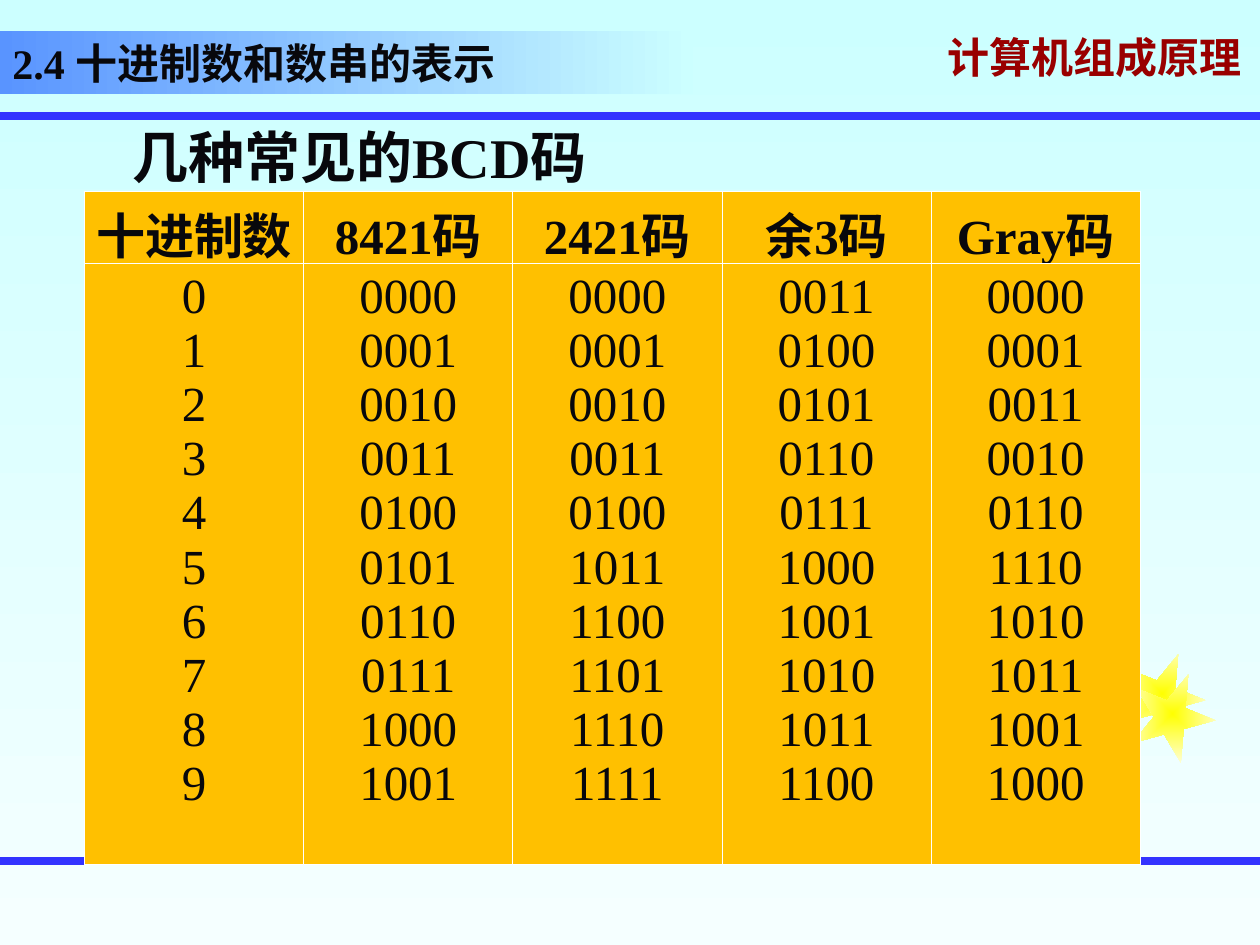
"""Build a slide that tabulates common BCD codes."""
from lxml import etree
from pptx import Presentation
from pptx import util as u
from pptx.dml.color import RGBColor
from pptx.enum import shapes, text
from pptx.oxml import parse_xml
from pptx.oxml.ns import nsdecls, qn

COURSE = "计算机组成原理"
TITLE = "2.4 十进制数和数串的表示"
HEADING = "几种常见的BCD码"
CODES = {
    "十进制数": "0 1 2 3 4 5 6 7 8 9",
    "8421码": "0000 0001 0010 0011 0100 0101 0110 0111 1000 1001",
    "2421码": "0000 0001 0010 0011 0100 1011 1100 1101 1110 1111",
    "余3码": "0011 0100 0101 0110 0111 1000 1001 1010 1011 1100",
    "Gray码": "0000 0001 0011 0010 0110 1110 1010 1011 1001 1000",
}
COLUMN_WIDTHS = [1.74] + [1.66] * 4
ROW_HEIGHTS = [0.47, 4.67]
RULE_TOPS = [0.92, 6.83]
STARS = [(8.89, 5.17), (8.97, 5.33)]
STAR_SIZE, STAR_ROTATION = 0.67, 22

COLORS = {
    "sky": "CCFFFF", "pale": "F5FFFF", "banner": "5994FF", "rule": "3333FF",
    "star": "FFFF00", "star_edge": "FFFFE9", "course": "990000",
    "shadow": "808080", "ink": "08080C", "cell": "FFC000", "border": "FFFFFF",
}
LATIN, CHINESE = "Times New Roman", "Noto Sans CJK SC"


def color(name):
    return RGBColor.from_string(COLORS[name])


def style(paragraph, size, ink="ink", bold=True, latin=LATIN):
    for run in paragraph.runs:
        run.font.size, run.font.bold, run.font.name = u.Pt(size), bold, latin
        run.font.color.rgb = color(ink)
        east_asian = etree.Element(qn("a:ea"), typeface=CHINESE)
        run.font._element.find(qn("a:latin")).addnext(east_asian)


def gradient(fill, start, end, angle=0):
    fill.gradient()
    fill.gradient_angle = angle
    for stop, name in zip(fill.gradient_stops, (start, end)):
        stop.color.rgb = color(name)
    fill.gradient_stops[0].position = 0
    fill.gradient_stops[1].position = 1


def add_text(slide, box, content):
    shape = slide.shapes.add_textbox(*map(u.Inches, box))
    shape.text_frame.word_wrap = True
    shape.text_frame.text = content
    return shape, shape.text_frame.paragraphs[0]


def add_rule(slide, top):
    line = slide.shapes.add_connector(
        shapes.MSO_CONNECTOR.STRAIGHT, 0, u.Inches(top), u.Inches(10), u.Inches(top))
    line.line.color.rgb, line.line.width = color("rule"), u.Pt(4.5)
    etree.SubElement(line._element.spPr, qn("a:effectLst"))


def add_star(slide, left, top):
    star = slide.shapes.add_shape(
        shapes.MSO_SHAPE.STAR_5_POINT, *map(u.Inches, (left, top, STAR_SIZE, STAR_SIZE)))
    star.rotation = STAR_ROTATION
    star.shadow.inherit = False
    star.line.fill.background()
    gradient(star.fill, "star", "star_edge")
    linear = star._element.spPr.find(".//" + qn("a:lin"))
    linear.getparent().replace(linear, parse_xml(
        f'<a:path {nsdecls("a")} path="rect">'
        '<a:fillToRect l="50000" t="50000" r="50000" b="50000"/></a:path>'))


def add_course(slide):
    shape, paragraph = add_text(slide, (7.42, 0.25, 2.58, 0.5), COURSE)
    shape.text_frame.vertical_anchor = text.MSO_ANCHOR.MIDDLE
    paragraph.line_spacing = 0.7
    style(paragraph, 24, "course", latin=CHINESE)
    properties = paragraph.runs[0].font._element
    properties.find(qn("a:solidFill")).addnext(parse_xml(
        f'<a:effectLst {nsdecls("a")}><a:outerShdw dist="25400" dir="2700000">'
        f'<a:srgbClr val="{COLORS["shadow"]}"/></a:outerShdw></a:effectLst>'))


def add_titles(slide):
    banner, paragraph = add_text(slide, (0, 0.25, 5.5, 0.5), TITLE)
    gradient(banner.fill, "banner", "sky")
    banner.text_frame.vertical_anchor = text.MSO_ANCHOR.BOTTOM
    style(paragraph, 24)
    _, paragraph = add_text(slide, (0.75, 0.92, 8.5, 5.33), HEADING)
    paragraph._p.get_or_add_pPr().set("marL", str(u.Inches(0.2)))
    style(paragraph, 32)


def format_cell(cell, content, bold):
    cell.margin_left = cell.margin_right = u.Inches(0.08)
    cell.fill.solid()
    cell.fill.fore_color.rgb = color("cell")
    for index, side in enumerate(("lnL", "lnR", "lnT", "lnB")):
        cell._tc.tcPr.insert(index, parse_xml(
            f'<a:{side} {nsdecls("a")} w="{u.Pt(0.45)}"><a:solidFill>'
            f'<a:srgbClr val="{COLORS["border"]}"/></a:solidFill></a:{side}>'))
    cell.text_frame.text = content
    for paragraph in cell.text_frame.paragraphs:
        paragraph.alignment = text.PP_ALIGN.CENTER
        style(paragraph, 28, bold=bold)


def add_code_table(slide):
    box = (0.67, 1.52, sum(COLUMN_WIDTHS), sum(ROW_HEIGHTS))
    table = slide.shapes.add_table(
        len(ROW_HEIGHTS), len(CODES), *map(u.Inches, box)).table
    table.first_row = table.horz_banding = False
    for row, height in zip(table.rows, ROW_HEIGHTS):
        row.height = u.Inches(height)
    for index, (heading, codes) in enumerate(CODES.items()):
        table.columns[index].width = u.Inches(COLUMN_WIDTHS[index])
        format_cell(table.cell(0, index), heading, True)
        format_cell(table.cell(1, index), "\n".join(codes.split()), False)


def main():
    presentation = Presentation()
    presentation.slide_width, presentation.slide_height = u.Inches(10), u.Inches(7.5)
    slide = presentation.slides.add_slide(presentation.slide_layouts[6])
    gradient(slide.background.fill, "sky", "pale", 270)
    add_course(slide)
    for top in RULE_TOPS:
        add_rule(slide, top)
    for left, top in STARS:
        add_star(slide, left, top)
    add_titles(slide)
    add_code_table(slide)
    presentation.save("out.pptx")


if __name__ == "__main__":
    main()
